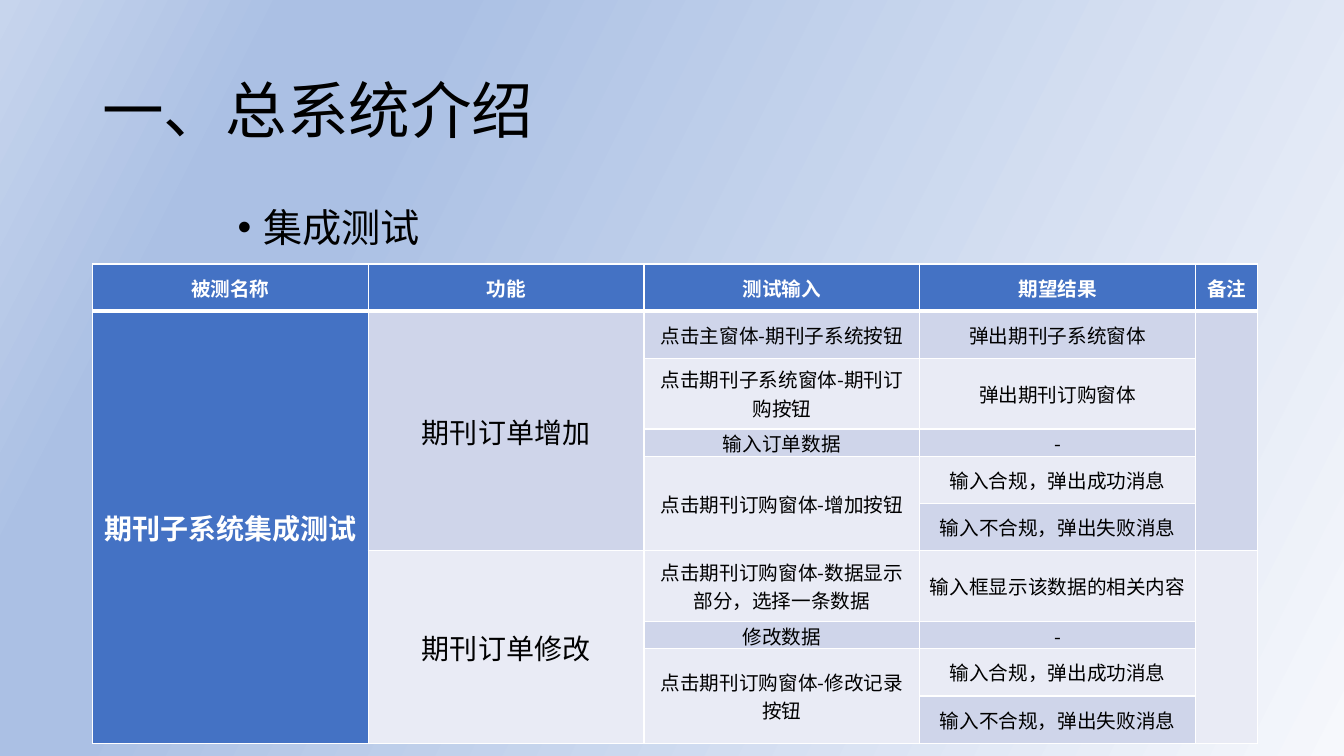
from lxml.etree import SubElement
from pptx import Presentation
from pptx.dml.color import RGBColor
from pptx.enum.text import MSO_ANCHOR, PP_ALIGN
from pptx.oxml.ns import qn
from pptx.util import Cm, Pt

COLORS = {"text": "000000", "white": "FFFFFF", "head": "4472C4",
          "band": "CFD5EA", "plain": "E9EBF5"}
BACKGROUND = [(0, "F6F8FC"), (74, "ABC0E4"), (83, "ABC0E4"), (100, "C7D5ED")]
CJK = "Noto Sans CJK SC"
COL_WIDTHS = [6.95, 6.95, 6.95, 6.95, 1.57]
ROW_HEIGHTS = [1.19, 1.19, 1.78, 0.69, 1.19, 1.19, 1.78, 0.69, 1.19, 1.19]
MERGES = [(1, 0, 9), (1, 1, 5), (1, 4, 5), (4, 2, 5), (6, 1, 9), (6, 4, 9), (8, 2, 9)]
OK, FAIL = "输入合规，弹出成功消息", "输入不合规，弹出失败消息"
ROWS = [
    ["被测名称", "功能", "测试输入", "期望结果", "备注"],
    ["期刊子系统集成测试", "期刊订单增加", "点击主窗体-期刊子系统按钮", "弹出期刊子系统窗体", ""],
    ["", "", "点击期刊子系统窗体-期刊订购按钮", "弹出期刊订购窗体", ""],
    ["", "", "输入订单数据", "-", ""],
    ["", "", "点击期刊订购窗体-增加按钮", OK, ""],
    ["", "", "", FAIL, ""],
    ["", "期刊订单修改", "点击期刊订购窗体-数据显示部分，选择一条数据", "输入框显示该数据的相关内容", ""],
    ["", "", "修改数据", "-", ""],
    ["", "", "点击期刊订购窗体-修改记录按钮", OK, ""],
    ["", "", "", FAIL, ""],
]


def set_background(s):
    """Give the slide its four-stop diagonal gradient."""
    s.background.fill.gradient()
    grad = s.element.find(".//" + qn("a:gradFill"))
    stops = grad.find(qn("a:gsLst"))
    for stop in list(stops):
        stops.remove(stop)
    for pos, color in BACKGROUND:
        stop = SubElement(stops, qn("a:gs"), pos=str(pos * 1000))
        SubElement(stop, qn("a:srgbClr"), val=color)
    grad.find(qn("a:lin")).set("ang", str(207 * 60000))


def add_run(p, text, size, color="text", bold=False, font=CJK):
    """Append one formatted run to a paragraph."""
    r = p.add_run()
    r.text = text
    r.font.size, r.font.bold, r.font.name = Pt(size), bold, font
    r.font.color.rgb = RGBColor.from_string(COLORS[color])
    SubElement(r._r.get_or_add_rPr(), qn("a:ea"), typeface=CJK)


def add_text(s, box, text, size, anchor=MSO_ANCHOR.TOP):
    """Add a wrapped text box with one line and return its paragraph."""
    tf = s.shapes.add_textbox(*(Cm(v) for v in box)).text_frame
    tf.word_wrap = True
    tf.vertical_anchor = anchor
    p = tf.paragraphs[0]
    p.line_spacing = 0.9
    add_run(p, text, size)
    return p


def add_bullet(p):
    """Turn a paragraph into a bulleted one with a hanging indent."""
    p.space_before = Pt(10)
    pPr = p._p.get_or_add_pPr()
    pPr.set("marL", str(Cm(0.64)))
    pPr.set("indent", str(-Cm(0.64)))
    SubElement(pPr, qn("a:buFont"), typeface="Arial")
    SubElement(pPr, qn("a:buChar"), char="•")


def set_borders(cell, row):
    """Draw white cell borders, thicker below the header row."""
    tcPr = cell._tc.get_or_add_tcPr()
    for side in "LRTB":
        thick = (row, side) in ((0, "B"), (1, "T"))
        ln = SubElement(tcPr, qn("a:ln" + side), w=str(Pt(3 if thick else 1)))
        fill = SubElement(ln, qn("a:solidFill"))
        SubElement(fill, qn("a:srgbClr"), val=COLORS["white"])


def fill_cell(cell, row, col, text):
    """Style one table cell by its row and column and write its text."""
    strong = row == 0 or col == 0
    color = "head" if strong else "band" if row % 2 else "plain"
    set_borders(cell, row)
    cell.fill.solid()
    cell.fill.fore_color.rgb = RGBColor.from_string(COLORS[color])
    cell.vertical_anchor = MSO_ANCHOR.MIDDLE
    cell.margin_left = cell.margin_right = Cm(0.19)
    cell.margin_top = cell.margin_bottom = 0
    p = cell.text_frame.paragraphs[0]
    p.alignment = PP_ALIGN.CENTER
    if text:
        size = 20 if row and col < 2 else 14
        font = "Arial" if row and col == 1 else CJK
        add_run(p, text, size, "white" if strong else "text", strong, font)


def add_test_table(s):
    """Add the integration test table with its merged cells."""
    table = s.shapes.add_table(len(ROWS), len(COL_WIDTHS), Cm(2.33), Cm(6.65),
                               Cm(sum(COL_WIDTHS)), Cm(sum(ROW_HEIGHTS))).table
    for column, width in zip(table.columns, COL_WIDTHS):
        column.width = Cm(width)
    for row, height in zip(table.rows, ROW_HEIGHTS):
        row.height = Cm(height)
    for i, texts in enumerate(ROWS):
        for j, text in enumerate(texts):
            fill_cell(table.cell(i, j), i, j, text)
    for first, col, last in MERGES:
        table.cell(first, col).merge(table.cell(last, col))


def main():
    """Build the slide and save it."""
    prs = Presentation()
    prs.slide_width, prs.slide_height = Cm(33.87), Cm(19.05)
    s = prs.slides.add_slide(prs.slide_layouts[6])
    set_background(s)
    add_text(s, (2.33, 1.01, 29.21, 3.68), "一、总系统介绍", 44, MSO_ANCHOR.MIDDLE)
    add_bullet(add_text(s, (5.74, 5.13, 14.02, 12.09), "集成测试", 28))
    add_test_table(s)
    prs.save("out.pptx")


main()
